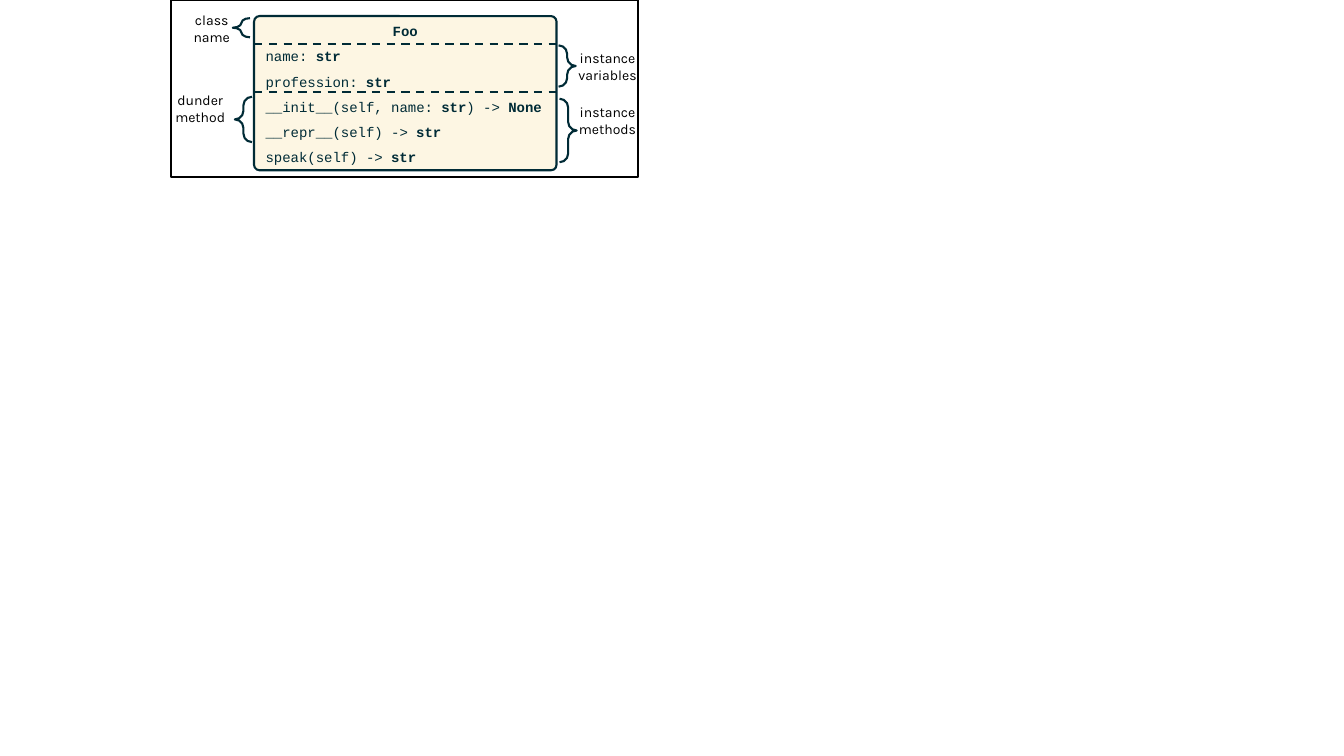
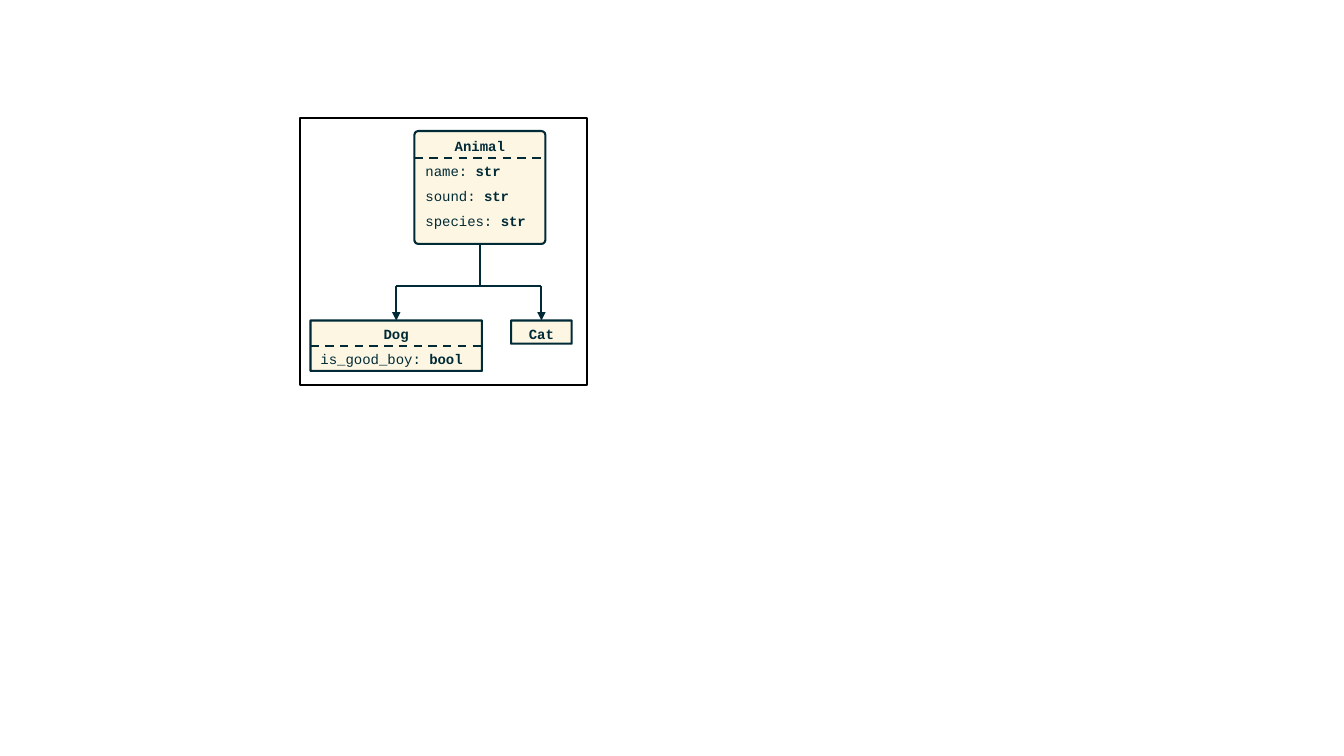
from dataclasses import dataclass

from lxml import etree
from pptx import Presentation
from pptx.dml.color import RGBColor
from pptx.enum.dml import MSO_LINE_DASH_STYLE as Dash
from pptx.enum.shapes import MSO_CONNECTOR as Connector, MSO_SHAPE as Preset
from pptx.enum.text import MSO_ANCHOR as Anchor, PP_ALIGN as Align
from pptx.oxml.ns import qn
from pptx.slide import Slide
from pptx.util import Inches, Pt

INK = RGBColor(0x00, 0x2B, 0x36)
CREAM = RGBColor(0xFD, 0xF6, 0xE3)
BLACK = RGBColor(0x00, 0x00, 0x00)
WHITE = RGBColor(0xFF, 0xFF, 0xFF)
CODE_FONT = "Courier New"
LABEL_FONT = "Karla"
TEXT_SIZE = Pt(10)
LINE_WIDTH = Pt(1.5)


@dataclass(frozen=True)
class Box:
    left: float
    top: float
    width: float
    height: float

    @property
    def center(self) -> float:
        return self.left + self.width / 2

    @property
    def right(self) -> float:
        return self.left + self.width

    @property
    def bottom(self) -> float:
        return self.top + self.height

    def lengths(self) -> tuple:
        return tuple(map(Inches, (self.left, self.top, self.width, self.height)))


@dataclass(frozen=True)
class ClassBox:
    """A class diagram node; members alternate plain and bold runs."""
    name: str
    box: Box
    corner: float
    members: tuple[tuple[str, ...], ...] = ()
    dividers: tuple[float, ...] = ()  # distances from the top of the box


@dataclass(frozen=True)
class Annotation:
    text: str
    label: Box
    brace: Box
    points_left: bool = False


FOO = ClassBox(
    "Foo", Box(2.52, 0.16, 3, 1.53), 0.036,
    (("name: ", "str"),
     ("profession:", " str"),
     ("__init__(self, name: ", "str", ") -> ", "None"),
     ("__repr__(self) -> ", "str"),
     ("speak(self) -> ", "str")),
    (0.28, 0.75))
ANNOTATIONS = (
    Annotation("class name", Box(1.7, 0.07, 0.8, 0.44),
               Box(2.31, 0.18, 0.17, 0.19), points_left=True),
    Annotation("dunder method", Box(1.61, 0.86, 0.75, 0.44),
               Box(2.33, 0.96, 0.17, 0.45), points_left=True),
    Annotation("instance variables", Box(5.55, 0.44, 0.95, 0.44),
               Box(5.54, 0.45, 0.17, 0.41)),
    Annotation("instance methods", Box(5.55, 0.98, 0.95, 0.44),
               Box(5.55, 0.98, 0.17, 0.63)),
)
ANIMAL = ClassBox(
    "Animal", Box(4.11, 1.3, 1.3, 1.12), 0.036,
    (("name: ", "str"), ("sound: ", "str"), ("species: ", "str")), (0.27,))
DOG = ClassBox("Dog", Box(3.08, 3.18, 1.7, 0.5), 0.004,
               (("is_good_boy: ", "bool"),), (0.25,))
CAT = ClassBox("Cat", Box(5.07, 3.18, 0.6, 0.23), 0.008)
BRANCH_TOP = 2.84


def add_run(paragraph, text: str, font_name: str, color: RGBColor, bold: bool = False) -> None:
    run = paragraph.add_run()
    run.text = text
    run.font.name = font_name
    run.font.size = TEXT_SIZE
    run.font.bold = bold
    run.font.color.rgb = color


def add_preset(slide: Slide, preset: Preset, box: Box, fill: RGBColor | None, line: RGBColor):
    shape = slide.shapes.add_shape(preset, *box.lengths())
    shape.shadow.inherit = False
    if fill is None:
        shape.fill.background()
    else:
        shape.fill.solid()
        shape.fill.fore_color.rgb = fill
    shape.line.color.rgb = line
    shape.line.width = LINE_WIDTH
    return shape


def add_line(slide: Slide, start: tuple[float, float], end: tuple[float, float],
             dashed: bool = False, arrow: bool = False) -> None:
    connector = slide.shapes.add_connector(
        Connector.STRAIGHT, *map(Inches, (*start, *end)))
    connector.line.color.rgb = INK
    connector.line.width = LINE_WIDTH
    if dashed:
        connector.line.dash_style = Dash.DASH
    if arrow:
        etree.SubElement(connector.line._get_or_add_ln(), qn("a:tailEnd"), type="triangle")
    etree.SubElement(connector._element.spPr, qn("a:effectLst"))


def add_class_box(slide: Slide, node: ClassBox) -> None:
    box = node.box
    shape = add_preset(slide, Preset.ROUNDED_RECTANGLE, box, CREAM, INK)
    shape.adjustments[0] = node.corner
    frame = shape.text_frame
    frame.word_wrap = True
    frame.vertical_anchor = Anchor.TOP

    # Class name, then one paragraph per member
    heading = frame.paragraphs[0]
    heading.alignment = Align.CENTER
    add_run(heading, node.name, CODE_FONT, INK, bold=True)
    for member in node.members:
        paragraph = frame.add_paragraph()
        paragraph.alignment = Align.LEFT
        paragraph.space_before = Pt(6)
        for index, text in enumerate(member):
            add_run(paragraph, text, CODE_FONT, INK, bold=index % 2 == 1)

    for offset in node.dividers:
        y = box.top + offset
        add_line(slide, (box.left, y), (box.right, y), dashed=True)


def add_annotation(slide: Slide, annotation: Annotation) -> None:
    frame = slide.shapes.add_textbox(*annotation.label.lengths()).text_frame
    frame.word_wrap = True
    paragraph = frame.paragraphs[0]
    paragraph.alignment = Align.CENTER
    add_run(paragraph, annotation.text, LABEL_FONT, BLACK)

    brace = add_preset(slide, Preset.RIGHT_BRACE, annotation.brace, None, INK)
    brace.adjustments[0] = 0.5
    if annotation.points_left:
        brace._element.spPr.get_or_add_xfrm().set("flipH", "1")


def add_diagram_slide(presentation, panel: Box) -> Slide:
    slide = presentation.slides.add_slide(presentation.slide_layouts[6])
    add_preset(slide, Preset.RECTANGLE, panel, WHITE, BLACK)
    return slide


def build_anatomy(presentation) -> None:
    slide = add_diagram_slide(presentation, Box(1.7, 0, 4.63, 1.76))
    add_class_box(slide, FOO)
    for annotation in ANNOTATIONS:
        add_annotation(slide, annotation)


def build_inheritance(presentation) -> None:
    slide = add_diagram_slide(presentation, Box(2.98, 1.17, 2.84, 2.65))
    for node in (ANIMAL, DOG, CAT):
        add_class_box(slide, node)

    # Tree from the parent class to its children
    parent = ANIMAL.box
    add_line(slide, (parent.center, parent.bottom), (parent.center, BRANCH_TOP))
    for child in (DOG.box, CAT.box):
        add_line(slide, (child.center, BRANCH_TOP), (child.center, child.top), arrow=True)
    add_line(slide, (DOG.box.center, BRANCH_TOP), (CAT.box.center, BRANCH_TOP))


def main() -> None:
    presentation = Presentation()
    presentation.slide_width = Inches(13.33)
    presentation.slide_height = Inches(7.5)
    build_anatomy(presentation)
    build_inheritance(presentation)
    presentation.save("out.pptx")


if __name__ == "__main__":
    main()
